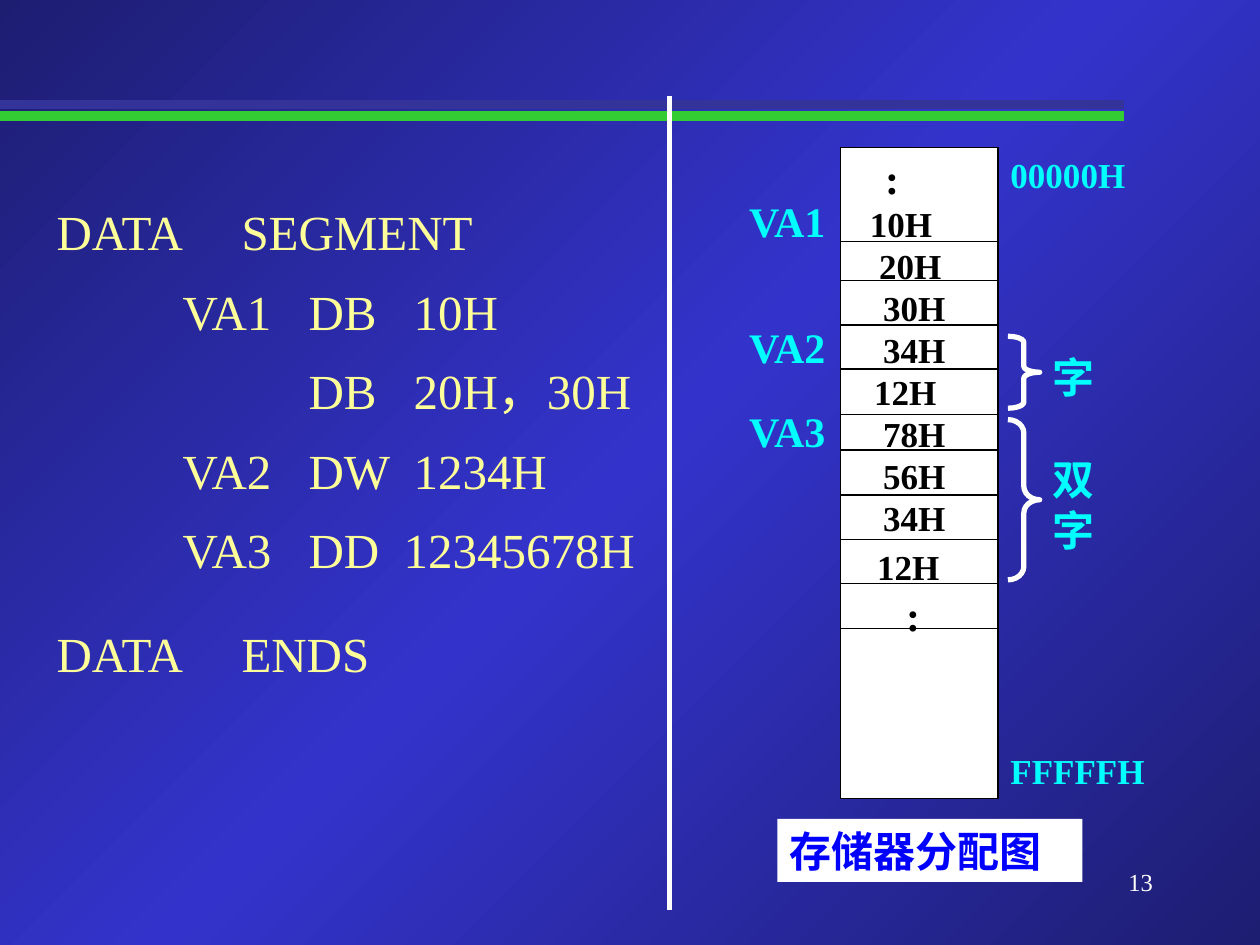
import copy
from dataclasses import dataclass
from typing import Any

import lxml.etree
import pptx
import pptx.dml.color
import pptx.enum.shapes
import pptx.enum.text
import pptx.oxml.ns
import pptx.util

Cm = pptx.util.Cm
Pt = pptx.util.Pt
Align = pptx.enum.text.PP_ALIGN
Kind = pptx.enum.shapes.MSO_SHAPE
qn = pptx.oxml.ns.qn


@dataclass(frozen=True)
class Theme:
    face: str = "Times New Roman"
    dark: str = "1D1D72"
    mid: str = "3333CC"
    green: str = "33CC33"
    navy: str = "333399"
    white: str = "FFFFFF"
    black: str = "000000"
    cyan: str = "00FFFF"
    blue: str = "0000FF"
    cream: str = "FFFF99"
    tiny: int = 14
    small: int = 20
    base: int = 24
    large: int = 28


THEME = Theme()


@dataclass(frozen=True)
class Box:
    left: float
    top: float
    width: float
    height: float

    def args(self) -> list[int]:
        return [Cm(v) for v in (self.left, self.top, self.width, self.height)]


@dataclass(frozen=True)
class Rule:
    start: tuple[float, float]
    end: tuple[float, float]
    color: str
    width: float


@dataclass(frozen=True)
class Label:
    text: str
    box: Box
    color: str = THEME.cyan
    size: int = THEME.base
    bold: bool = True
    align: Any = Align.LEFT


@dataclass(frozen=True)
class Brace:
    box: Box
    bend: float


@dataclass(frozen=True)
class Row:
    text: str
    shift: float
    size: int = THEME.small
    pitch: int = 24


@dataclass(frozen=True)
class Code:
    text: str
    stops: tuple[float, ...]
    before: int = 0


RULES = [
    Rule((0, 2.34), (22.66, 2.34), THEME.green, 5.5),
    Rule((0, 2.11), (22.66, 2.11), THEME.navy, 5.5),
    Rule((13.49, 1.93), (13.49, 18.34), THEME.white, 3),
]
LABELS = [
    Label("13", Box(18.21, 17.35, 5.28, 1.27), THEME.white, THEME.tiny, False, Align.RIGHT),
    Label("字", Box(20.96, 6.96, 1.27, 1.27)),
    Label("双字", Box(20.96, 9.02, 1.27, 2.29)),
    Label("00000H", Box(20.12, 2.97, 3.38, 1.09), size=THEME.small),
    Label("FFFFFH", Box(20.12, 14.99, 3.38, 1.09), size=THEME.small),
] + [
    Label(name, Box(14.1, top, 2.79, 1.27), align=Align.RIGHT)
    for name, top in (("VA1", 3.81), ("VA2", 6.35), ("VA3", 8.05))
]
TITLE = Label("存储器分配图", Box(15.67, 16.51, 6.15, 1.27), THEME.blue)
BRACES = [
    Brace(Box(20.32, 6.78, 0.64, 1.45), 0.19),
    Brace(Box(20.32, 8.46, 0.64, 3.23), 0.42),
]
STACK = Box(16.94, 2.97, 3.18, 13.13)
CUTS = [4.87, 5.66, 6.55, 7.44, 8.36, 9.07, 9.98, 10.87, 11.76, 12.67]
ROWS = [
    Row(":", 1.09, THEME.base, 28),
    Row("10H", 0.73),
    Row("20H", 0.36),
    Row("30H", 0.2),
    Row("34H", 0.2),
    Row("12H", 0.56),
    Row("78H", 0.2),
    Row("56H", 0.2),
    Row("34H", 0.2),
    Row("12H", 0.44, pitch=28),
    Row(":", 0.24, THEME.base, 30),
]
OUTER = (3.73,)
INNER = (2.54, 5.08, 7.2)
CODES = [
    Code("DATA\tSEGMENT", OUTER),
    Code("\tVA1\tDB\t10H", INNER),
    Code("\t\tDB\t20H，30H", INNER),
    Code("\tVA2\tDW\t1234H", INNER),
    Code("\tVA3\tDD\t12345678H", (2.54, 5.08, 7)),
    Code("DATA\tENDS", OUTER, 14),
]


def apply(item: Any, form: dict[str, Any]) -> None:
    for name, value in form.items():
        setattr(item, name, value)


def tint(part: Any, color: str) -> None:
    part.color.rgb = pptx.dml.color.RGBColor.from_string(color)


def style(para: Any, text: str, color: str, size: int, bold: bool, form: dict[str, Any]) -> None:
    run = para.add_run()
    run.text = text
    apply(para, form)
    apply(run.font, {"name": THEME.face, "size": Pt(size), "bold": bold})
    tint(run.font, color)


def paint(slide: Any) -> None:
    fill = slide.background.fill
    fill.gradient()
    fill.gradient_angle = 315
    first = fill.gradient_stops
    tint(first[0], THEME.dark)
    tint(first[1], THEME.dark)
    node = slide.background._cSld.find(".//" + qn("a:gsLst"))
    node.insert(1, copy.deepcopy(node[0]))
    stops = fill.gradient_stops
    tint(stops[1], THEME.mid)
    for stop, place in zip(stops, (0, 0.5, 1)):
        stop.position = place


def draw_rule(slide: Any, rule: Rule) -> None:
    ends = [Cm(v) for v in rule.start + rule.end]
    line = slide.shapes.add_connector(pptx.enum.shapes.MSO_CONNECTOR.STRAIGHT, *ends)
    line.line.width = Pt(rule.width)
    tint(line.line, rule.color)
    lxml.etree.SubElement(line._element.spPr, qn("a:effectLst"))


def draw_shape(slide: Any, kind: Any, box: Box, fill: str | None, edge: str | None, width: float) -> Any:
    shape = slide.shapes.add_shape(kind, *box.args())
    shape.shadow.inherit = False
    if fill:
        shape.fill.solid()
        shape.fill.fore_color.rgb = pptx.dml.color.RGBColor.from_string(fill)
    else:
        shape.fill.background()
    if edge:
        tint(shape.line, edge)
        shape.line.width = Pt(width)
    else:
        shape.line.fill.background()
    apply(shape.text_frame, {"word_wrap": True, "vertical_anchor": pptx.enum.text.MSO_ANCHOR.TOP})
    return shape


def draw_label(slide: Any, label: Label, fill: str | None = None) -> None:
    if fill:
        shape = draw_shape(slide, Kind.RECTANGLE, label.box, fill, None, 0)
    else:
        shape = slide.shapes.add_textbox(*label.box.args())
    shape.text_frame.word_wrap = True
    para = shape.text_frame.paragraphs[0]
    style(para, label.text, label.color, label.size, label.bold, {"alignment": label.align})


def draw_stack(slide: Any) -> None:
    frame = draw_shape(slide, Kind.RECTANGLE, STACK, THEME.white, THEME.black, 0.75).text_frame
    for spot, row in enumerate(ROWS):
        para = frame.add_paragraph() if spot else frame.paragraphs[0]
        para._p.get_or_add_pPr().set("marR", str(Cm(row.shift)))
        form = {"alignment": Align.CENTER, "line_spacing": Pt(row.pitch)}
        style(para, row.text, THEME.black, row.size, True, form)
    for top in CUTS:
        draw_rule(slide, Rule((STACK.left, top), (STACK.left + STACK.width, top), THEME.black, 0.75))


def draw_code(slide: Any) -> None:
    frame = slide.shapes.add_textbox(*Box(0.89, 3.53, 13.79, 10.46).args()).text_frame
    frame.word_wrap = True
    for spot, code in enumerate(CODES):
        para = frame.add_paragraph() if spot else frame.paragraphs[0]
        tabs = lxml.etree.SubElement(para._p.get_or_add_pPr(), qn("a:tabLst"))
        for stop in code.stops:
            lxml.etree.SubElement(tabs, qn("a:tab"), pos=str(Cm(stop)), algn="l")
        form = {"line_spacing": 1.35, "space_before": Pt(code.before)}
        style(para, code.text, THEME.cream, THEME.large, False, form)


def main() -> None:
    deck = pptx.Presentation()
    apply(deck, {"slide_width": Cm(25.4), "slide_height": Cm(19.05)})
    slide = deck.slides.add_slide(deck.slide_layouts[6])
    paint(slide)
    draw_code(slide)
    draw_stack(slide)
    for rule in RULES:
        draw_rule(slide, rule)
    for label in LABELS:
        draw_label(slide, label)
    for brace in BRACES:
        shape = draw_shape(slide, Kind.RIGHT_BRACE, brace.box, None, THEME.white, 3)
        shape.adjustments[0] = brace.bend
    draw_label(slide, TITLE, THEME.white)
    deck.save("out.pptx")


if __name__ == "__main__":
    main()
